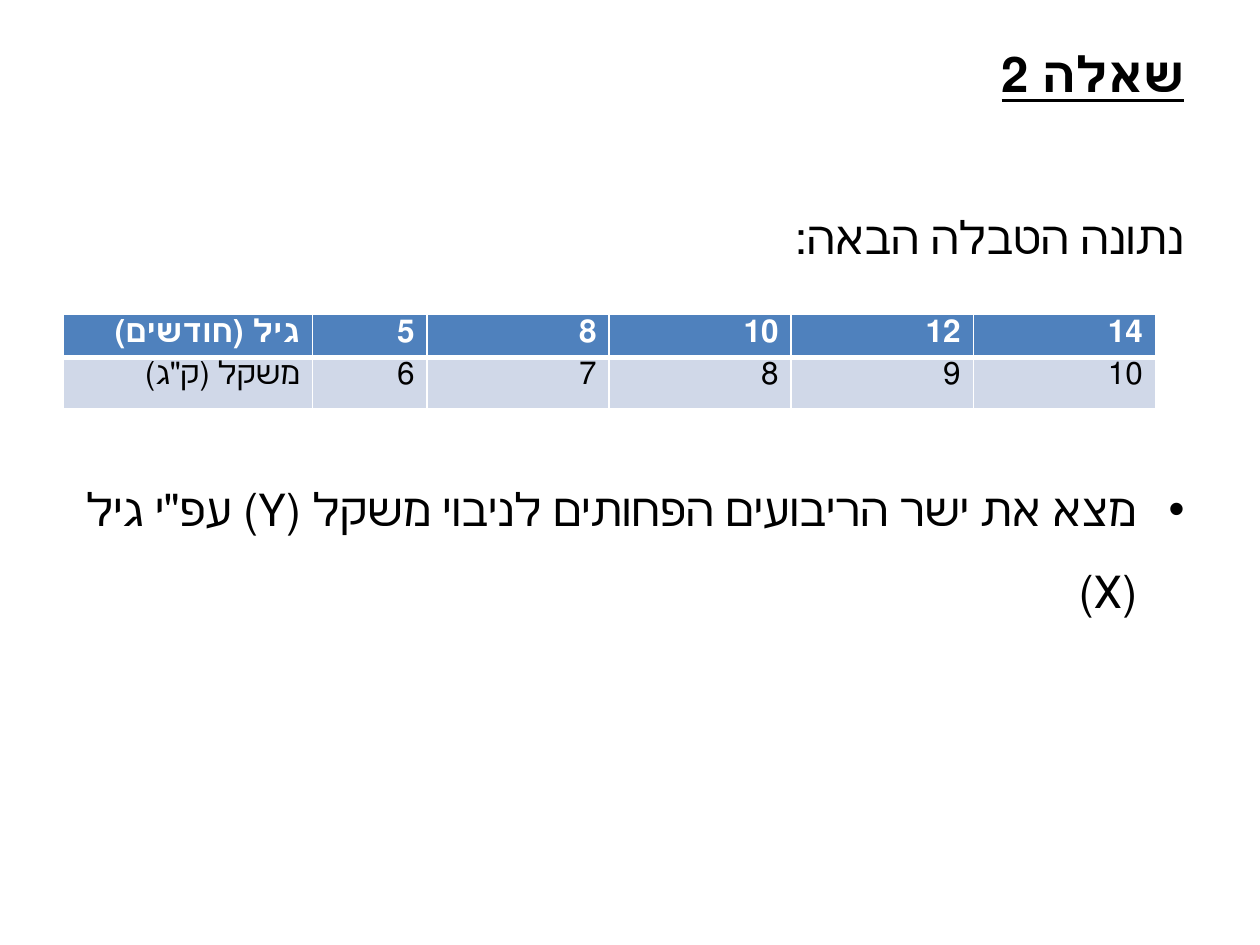
"""Build a Hebrew question slide with an age and weight table."""
from lxml import etree
from pptx import Presentation
from pptx import util as u
from pptx.dml.color import RGBColor
from pptx.enum import text
from pptx.oxml.ns import qn


def color(value):
    return RGBColor.from_string(value)


def write(para, words, size, ink="000000", bold=False, underline=False):
    para.alignment = text.PP_ALIGN.RIGHT
    para._p.get_or_add_pPr().set("rtl", "1")
    span = para.add_run()
    span.text = words
    font = span.font
    font.size, font.name = u.Pt(size), "Roboto"
    font.bold, font.underline = bold, underline
    font.color.rgb = color(ink)


deck = Presentation()
deck.slide_width, deck.slide_height = u.Cm(25.4), u.Cm(19.05)
page = deck.slides.add_slide(deck.slide_layouts[6])

title = page.shapes.add_textbox(u.Cm(1.27), u.Cm(0.76), u.Cm(22.86), u.Cm(2.77))
title.text_frame.word_wrap = True
write(title.text_frame.paragraphs[0], "שאלה 2", 28, bold=True, underline=True)

body = page.shapes.add_textbox(u.Cm(1.27), u.Cm(3.53), u.Cm(22.86), u.Cm(14.12))
body.text_frame.word_wrap = True
intro = body.text_frame.paragraphs[0]
task = body.text_frame.add_paragraph()
properties = task._p.get_or_add_pPr()
properties.set("marL", str(u.Cm(0.95)))
properties.set("indent", str(-u.Cm(0.95)))
etree.SubElement(properties, qn("a:buFont"), typeface="Arial")
etree.SubElement(properties, qn("a:buChar"), char="•")
task.space_before = u.Pt(109)
for para, words in (
    (intro, "נתונה הטבלה הבאה:"),
    (task, "מצא את ישר הריבועים הפחותים לניבוי משקל (Y) עפ\"י גיל (X)"),
):
    para.line_spacing = 1.5
    write(para, words, 26)

rows = [
    ("גיל (חודשים)", "5", "8", "10", "12", "14"),
    ("משקל (ק\"ג)", "6", "7", "8", "9", "10"),
]
styles = [("4F81BD", "FFFFFF", True, "a:lnB"), ("D0D8E8", "000000", False, "a:lnT")]
widths = [5.03, 2.31] + [3.67] * 4
heights = [0.85, 1.03]
table = page.shapes.add_table(
    len(rows), len(widths), u.Cm(1.27), u.Cm(6.34), u.Cm(sum(widths)), u.Cm(sum(heights))
).table
for column, width in zip(table.columns, widths):
    column.width = u.Cm(width)
for row, height, values, style in zip(table.rows, heights, rows, styles):
    row.height = u.Cm(height)
    fill, ink, bold, edge = style
    for cell, value in zip(row.cells, values):
        cell.margin_top = cell.margin_bottom = u.Cm(0.05)
        cell.fill.solid()
        cell.fill.fore_color.rgb = color(fill)
        line = etree.Element(qn(edge), w=str(u.Pt(3)))
        paint = etree.SubElement(line, qn("a:solidFill"))
        etree.SubElement(paint, qn("a:srgbClr"), val="FFFFFF")
        cell._tc.get_or_add_tcPr().insert(0, line)
        write(cell.text_frame.paragraphs[0], value, 18, ink, bold)

deck.save("out.pptx")
